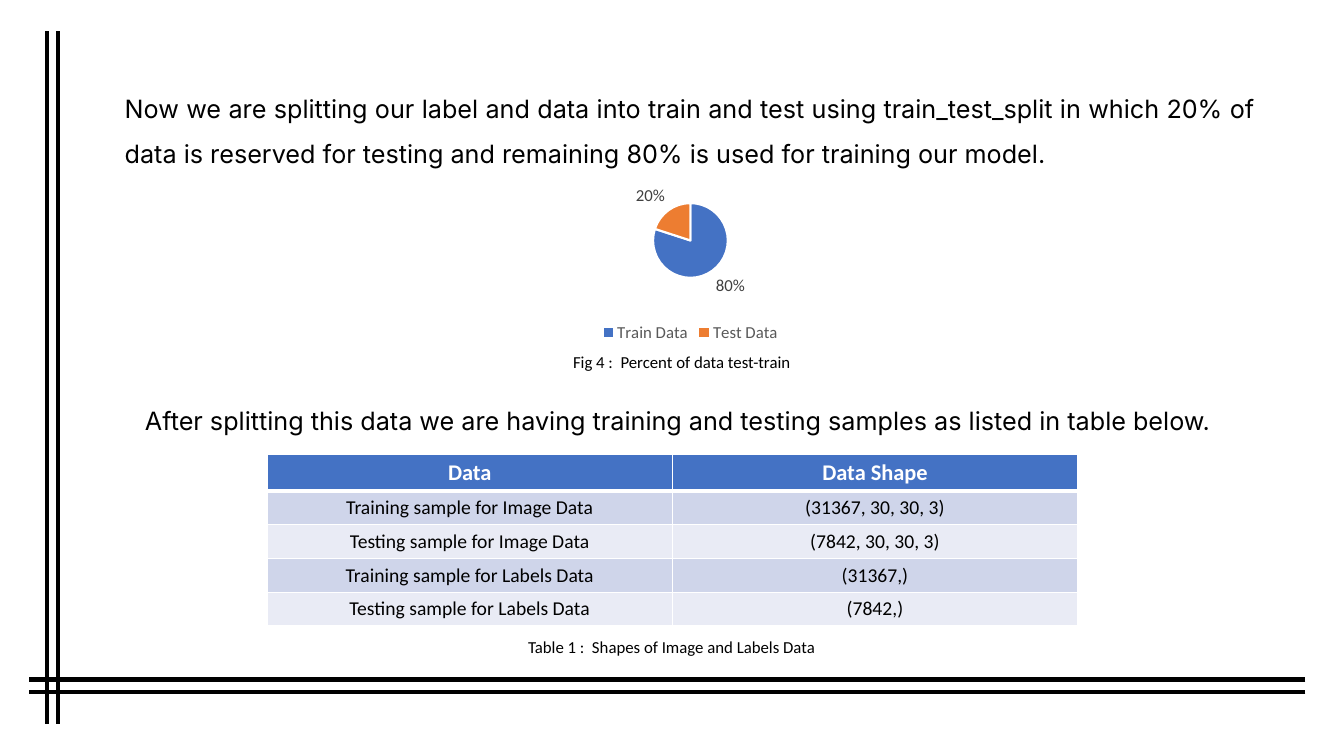
from lxml.etree import SubElement
from pptx import Presentation
from pptx.chart.data import CategoryChartData
from pptx.dml.color import RGBColor
from pptx.enum.chart import XL_CHART_TYPE as ChartType
from pptx.enum.chart import XL_LABEL_POSITION as LabelPosition
from pptx.enum.chart import XL_LEGEND_POSITION as LegendPosition
from pptx.enum.shapes import MSO_CONNECTOR as Connector
from pptx.enum.text import MSO_AUTO_SIZE as AutoSize
from pptx.enum.text import PP_ALIGN as Align
from pptx.oxml.ns import qn
from pptx.util import Pt

BLACK, WHITE, BLUE, ORANGE = "000000", "FFFFFF", "4472C4", "ED7D31"
BANDS = ("CFD5EA", "E9EBF5")
SHAPES = [
    ("Data", "Data Shape"),
    ("Training sample for Image Data", "(31367, 30, 30, 3)"),
    ("Testing sample for Image Data", "(7842, 30, 30, 3)"),
    ("Training sample for Labels Data", "(31367,)"),
    ("Testing sample for Labels Data", "(7842,)"),
]


def rgb(value):
    return RGBColor.from_string(value)


def style_font(font, name, size, color, bold=False):
    font.name, font.size, font.bold = name, Pt(size), bold
    font.color.rgb = rgb(color)


def add_rule(slide, x1, y1, x2, y2):
    rule = slide.shapes.add_connector(
        Connector.STRAIGHT, Pt(x1), Pt(y1), Pt(x2), Pt(y2))
    rule.line.color.rgb = rgb(BLACK)
    rule.line.width = Pt(3)
    SubElement(rule._element.spPr, qn("a:effectLst"))


def add_text(slide, box, text, font_name, size, align, spacing=None):
    frame = slide.shapes.add_textbox(*map(Pt, box)).text_frame
    frame.word_wrap = True
    frame.auto_size = AutoSize.SHAPE_TO_FIT_TEXT
    frame.text = text
    paragraph = frame.paragraphs[0]
    paragraph.alignment = align
    paragraph.line_spacing = spacing
    style_font(paragraph.runs[0].font, font_name, size, BLACK)


def add_body(slide, box, text):
    add_text(slide, box, text, "Inter", 18, Align.JUSTIFY, 1.5)


def add_caption(slide, left, top, text):
    add_text(slide, (left, top, 480, 21.6), text, "Calibri", 12, Align.CENTER)


def add_split_pie(slide, box):
    split = CategoryChartData(number_format="0%")
    split.categories = ["Train Data", "Test Data"]
    split.add_series("Series 1", (0.8, 0.2))
    chart = slide.shapes.add_chart(ChartType.PIE, *map(Pt, box), split).chart
    chart.has_title = False
    style_font(chart.font, "Calibri", 10, BLACK)

    chart.has_legend = True
    chart.legend.position = LegendPosition.BOTTOM
    chart.legend.include_in_layout = False
    style_font(chart.legend.font, "Calibri", 12, "595959")

    pie = chart.plots[0]
    pie.vary_by_categories = True
    for index, color in enumerate((BLUE, ORANGE)):
        slice_format = pie.series[0].points[index].format
        slice_format.fill.solid()
        slice_format.fill.fore_color.rgb = rgb(color)
        slice_format.line.color.rgb = rgb(WHITE)
        slice_format.line.width = Pt(1.5)

    pie.has_data_labels = True
    labels = pie.data_labels
    labels.show_value = True
    labels.show_percentage = False
    labels.number_format = "0%"
    labels.number_format_is_linked = False
    labels.position = LabelPosition.OUTSIDE_END
    style_font(labels.font, "Calibri", 12, "404040")


def add_borders(cell, top, bottom):
    """Draw white cell borders, with the top and bottom widths in points."""
    properties = cell._tc.get_or_add_tcPr()
    for side, width in (("L", 1), ("R", 1), ("T", top), ("B", bottom)):
        border = SubElement(properties, qn(f"a:ln{side}"), w=str(Pt(width)))
        fill = SubElement(border, qn("a:solidFill"))
        SubElement(fill, qn("a:srgbClr"), val=WHITE)


def fill_cell(cell, text, row):
    header = row == 0
    add_borders(cell, 3 if row == 1 else 1, 3 if header else 1)
    cell.fill.solid()
    cell.fill.fore_color.rgb = rgb(BLUE if header else BANDS[(row - 1) % 2])
    cell.text_frame.text = text
    paragraph = cell.text_frame.paragraphs[0]
    paragraph.alignment = Align.CENTER
    style_font(paragraph.runs[0].font, "Calibri", 16 if header else 14,
               WHITE if header else BLACK, header)


def add_shapes_table(slide, box):
    table = slide.shapes.add_table(
        len(SHAPES), len(SHAPES[0]), *map(Pt, box)).table
    for row, texts in enumerate(SHAPES):
        table.rows[row].height = Pt(26 if row == 0 else 24)
        for column, text in enumerate(texts):
            fill_cell(table.cell(row, column), text, row)


def main():
    deck = Presentation()
    deck.slide_width, deck.slide_height = Pt(960), Pt(540)
    slide = deck.slides.add_slide(deck.slide_layouts[6])

    for x in (33.8, 41.4):
        add_rule(slide, x, 22.5, x, 517.5)
    for y in (485.4, 494.4):
        add_rule(slide, 932.4, y, 20.4, y)

    add_body(slide, (82, 52, 822, 69),
             "Now we are splitting our label and data into train and test "
             "using train_test_split in which 20% of data is reserved for "
             "testing and remaining 80% is used for training our model.")
    add_split_pie(slide, (313.2, 121, 360, 126.7))
    add_caption(slide, 247, 247.7, "Fig 4 :  Percent of data test-train")
    add_body(slide, (96.5, 275, 822, 36.7),
             "After splitting this data we are having training and testing "
             "samples as listed in table below.")
    add_shapes_table(slide, (190.8, 324.4, 579, 122))
    add_caption(slide, 239.8, 451.4,
                "Table 1 :  Shapes of Image and Labels Data")

    deck.save("out.pptx")


if __name__ == "__main__":
    main()
